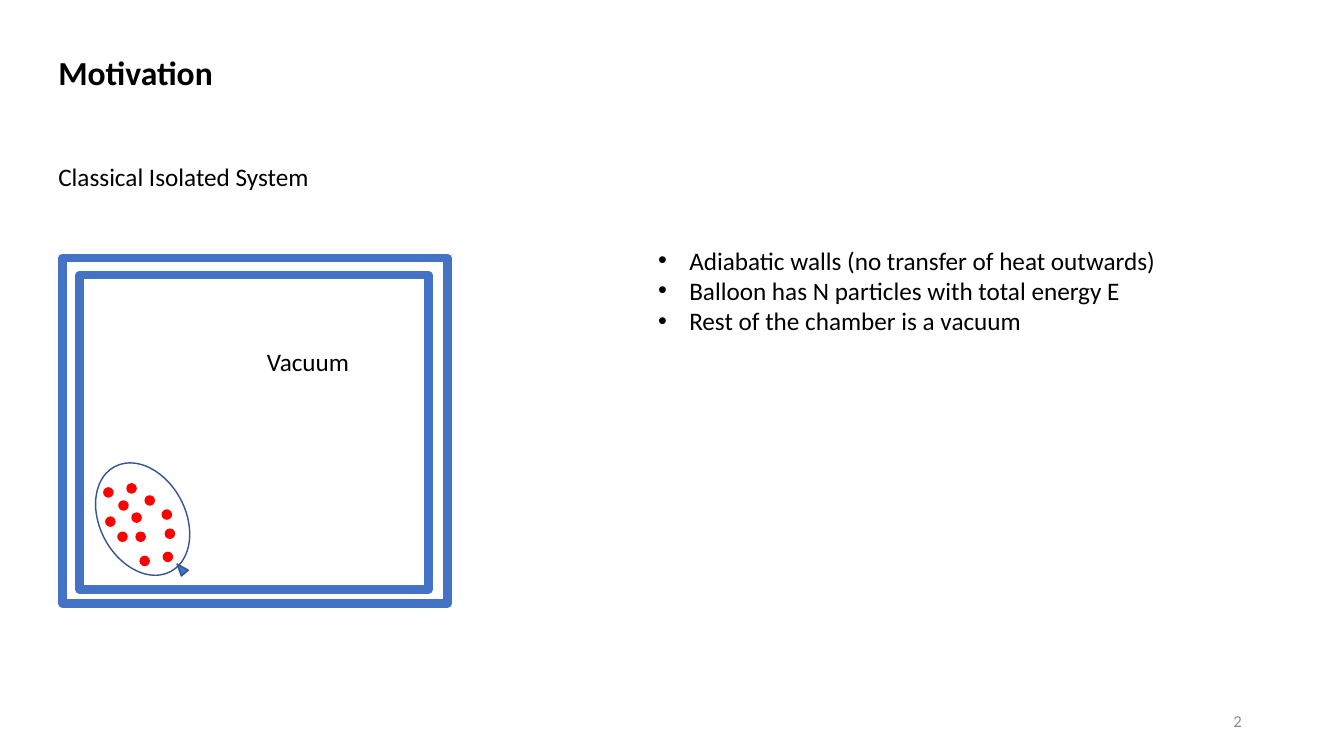
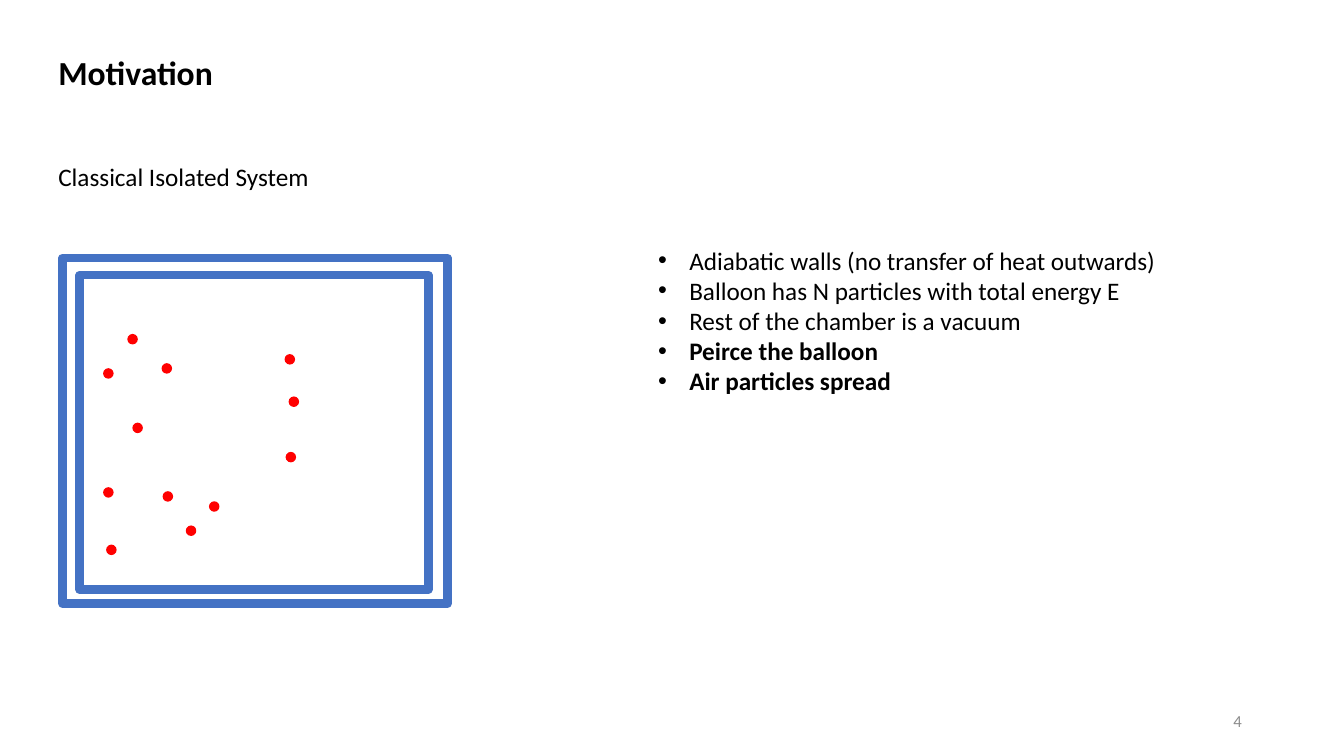
"""Build two slides on a classical isolated system."""
from dataclasses import dataclass

from lxml import etree
from pptx import Presentation
from pptx.dml.color import RGBColor
from pptx.enum.shapes import MSO_SHAPE
from pptx.enum.text import MSO_ANCHOR, MSO_AUTO_SIZE, PP_ALIGN
from pptx.oxml.ns import qn
from pptx.slide import Slide
from pptx.util import Inches, Pt

RECT, OVAL, CONE = MSO_SHAPE.RECTANGLE, MSO_SHAPE.OVAL, MSO_SHAPE.ISOSCELES_TRIANGLE
LEFT, RIGHT = PP_ALIGN.LEFT, PP_ALIGN.RIGHT
TOP, MIDDLE = MSO_ANCHOR.TOP, MSO_ANCHOR.MIDDLE
GROW, FIXED = MSO_AUTO_SIZE.SHAPE_TO_FIT_TEXT, MSO_AUTO_SIZE.NONE

BLACK = RGBColor(0x00, 0x00, 0x00)
GREY = RGBColor(0x8C, 0x8C, 0x8C)
BLUE = RGBColor(0x44, 0x72, 0xC4)
NAVY = RGBColor(0x32, 0x54, 0x91)
RED = RGBColor(0xFF, 0x00, 0x00)

FONT = "Calibri"
COLS, ROWS = 133.33, 75
CELL = Inches(0.1)
INDENT = Inches(0.31)
DOT = 0.9
LINE = 3.03


@dataclass(frozen=True)
class Box:
    """Place on the grid, in columns and rows."""
    col: float
    row: float
    wide: float
    high: float

    def span(self) -> tuple[int, ...]:
        """Return the place in slide units."""
        return tuple(round(n * CELL) for n in (self.col, self.row, self.wide, self.high))


@dataclass(frozen=True)
class Scene:
    """What sets one slide apart."""
    page: str
    dots: tuple[tuple[float, float], ...]
    news: tuple[str, ...] = ()
    balloon: bool = False


WALLS = (Box(7.9, 27.3, 34.6, 31.2), Box(6.2, 25.6, 38.2, 34.3))
FACTS = (
    "Adiabatic walls (no transfer of heat outwards)",
    "Balloon has N particles with total energy E",
    "Rest of the chamber is a vacuum",
)
SCENES = (
    Scene(
        "2",
        ((14.4, 49.2), (13.5, 52.8), (16.4, 52.5), (16.2, 54.8),
         (13.9, 55.2), (16.1, 50.6), (13.1, 50.9), (12.6, 48),
         (11.8, 49.7), (10.3, 48.4), (11.7, 52.8), (10.5, 51.3)),
        balloon=True,
    ),
    Scene(
        "4",
        ((16.1, 36.1), (20.8, 49.8), (28.7, 39.4), (28.4, 44.9),
         (18.5, 52.2), (28.3, 35.2), (13.2, 42), (12.7, 33.2),
         (10.3, 36.6), (10.3, 48.4), (16.2, 48.8), (10.6, 54.1)),
        news=("Peirce the balloon", "Air particles spread"),
    ),
)


def write(slide: Slide, box: Box, *lines: str, size: float = 18,
          color: RGBColor = BLACK, bold: tuple[str, ...] = (),
          align: PP_ALIGN = LEFT, anchor: MSO_ANCHOR = TOP,
          wrap: bool = False, bullet: bool = False) -> None:
    """Add a text box with one paragraph per line."""
    frame = slide.shapes.add_textbox(*box.span()).text_frame
    frame.word_wrap = wrap
    frame.auto_size = FIXED if wrap else GROW
    frame.vertical_anchor = anchor
    for i, line in enumerate(lines):
        para = frame.add_paragraph() if i else frame.paragraphs[0]
        if bullet:
            props = para._p.get_or_add_pPr()
            props.set("marL", str(INDENT))
            props.set("indent", str(-INDENT))
            etree.SubElement(props, qn("a:buFont")).set("typeface", "Arial")
            etree.SubElement(props, qn("a:buChar")).set("char", "•")
        para.alignment = align
        run = para.add_run()
        run.text = line
        run.font.name = FONT
        run.font.size = Pt(size)
        run.font.bold = line in bold
        run.font.color.rgb = color


def draw(slide: Slide, kind: MSO_SHAPE, box: Box, line: RGBColor,
         fill: RGBColor | None = None, width: float = 1, turn: float = 0) -> None:
    """Add an outlined shape, filled if a colour is given."""
    shape = slide.shapes.add_shape(kind, *box.span())
    shape.shadow.inherit = False
    shape.rotation = turn
    shape.line.color.rgb = line
    shape.line.width = Pt(width)
    if fill is None:
        shape.fill.background()
    else:
        shape.fill.solid()
        shape.fill.fore_color.rgb = fill


def build(slide: Slide, scene: Scene) -> None:
    """Fill one slide with its text, chamber and particles."""
    title = "Motivation"
    write(slide, Box(4.8, 4.7, 18.3, 5), title, size=24, bold=(title,))
    write(slide, Box(94.2, 69.5, 30, 4), scene.page, size=12, color=GREY,
          align=RIGHT, anchor=MIDDLE, wrap=True)
    write(slide, Box(4.8, 15.5, 27.1, 4), "Classical Isolated System")
    for wall in WALLS:
        draw(slide, RECT, wall, BLUE, width=6)
    if scene.balloon:
        draw(slide, OVAL, Box(9.9, 45.6, 8.5, 11.8), NAVY, turn=331.8)
        draw(slide, CONE, Box(17.5, 55.8, 0.9, 1.2), NAVY, fill=BLUE, turn=320)
        write(slide, Box(25.5, 33.9, 10.3, 4), "Vacuum")
    for col, row in scene.dots:
        draw(slide, OVAL, Box(col, row, DOT, DOT), RED, fill=RED)
    points = FACTS + scene.news
    write(slide, Box(64.3, 23.8, 52, 1 + LINE * len(points)), *points,
          bold=scene.news, bullet=True)


def main() -> None:
    """Create and save the deck."""
    deck = Presentation()
    deck.slide_width = round(COLS * CELL)
    deck.slide_height = ROWS * CELL
    blank = deck.slide_layouts[6]
    for scene in SCENES:
        build(deck.slides.add_slide(blank), scene)
    deck.save("out.pptx")


if __name__ == "__main__":
    main()
